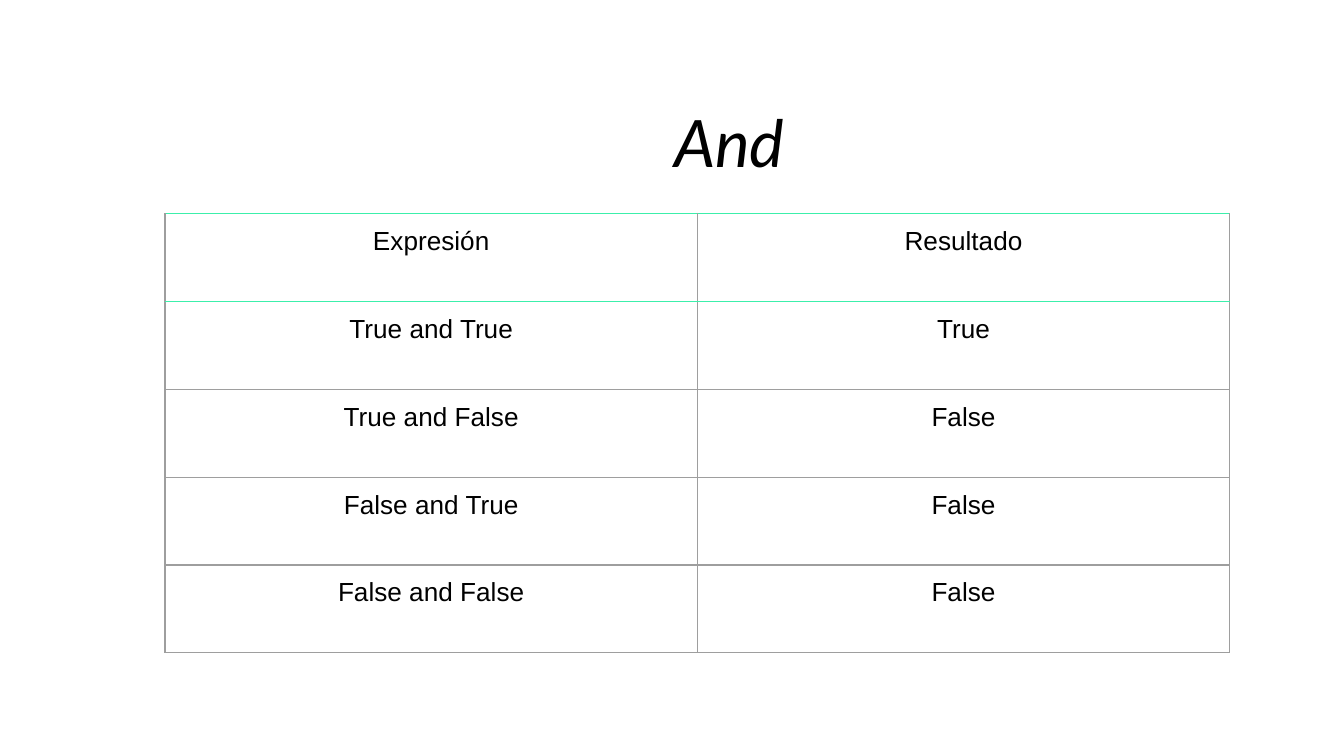
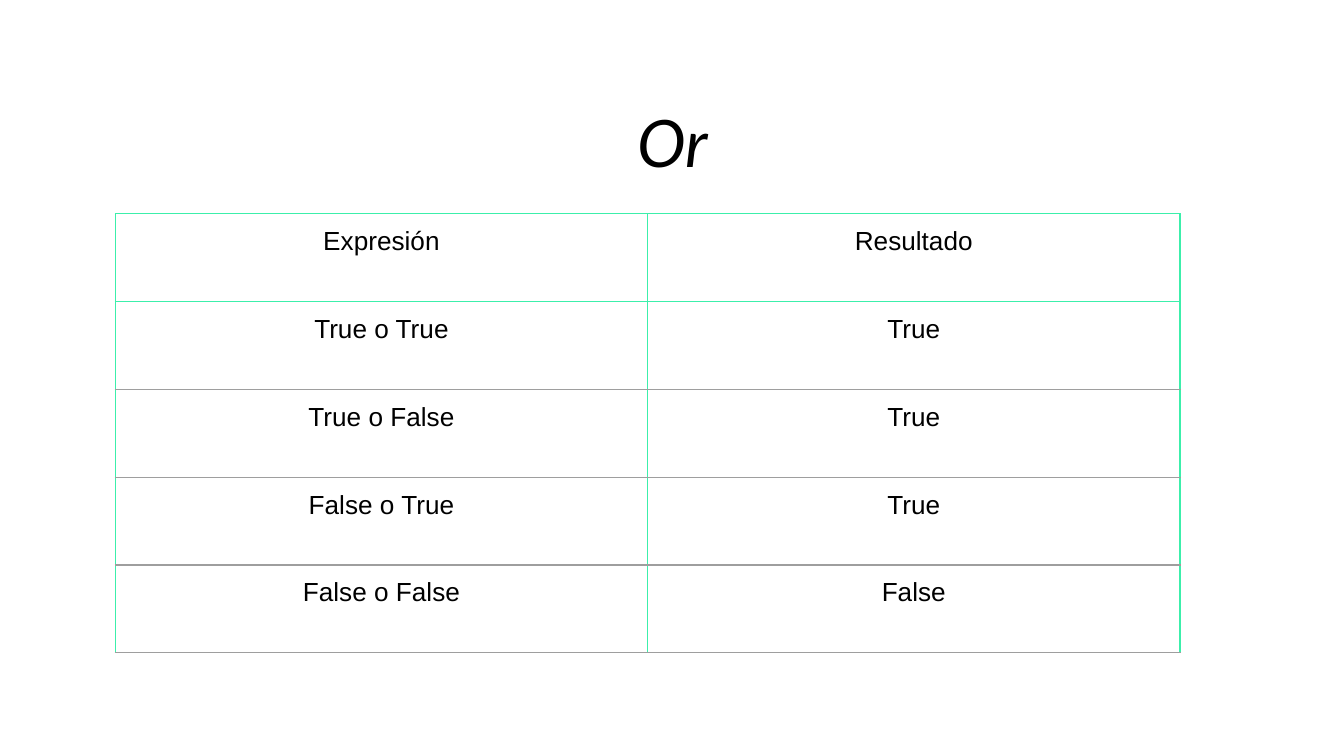
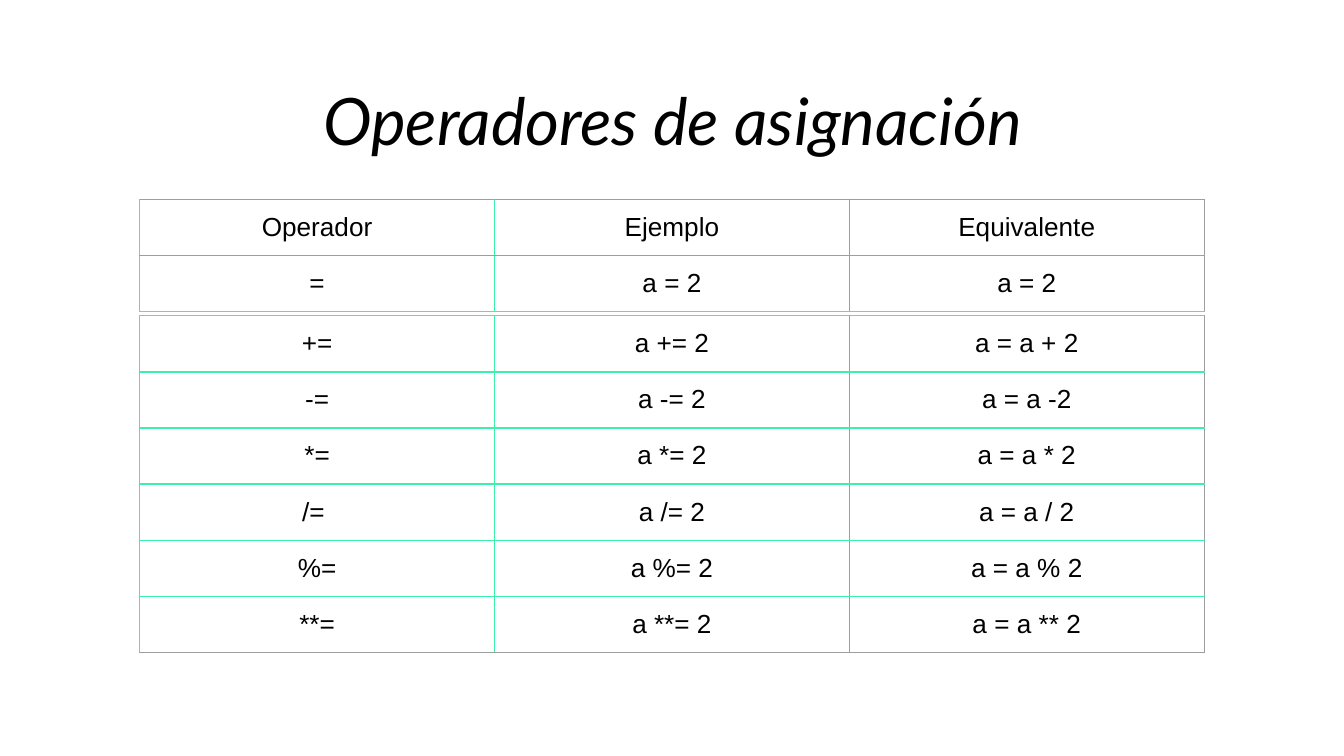
from dataclasses import dataclass

from lxml.etree import SubElement
from pptx import Presentation
from pptx.dml.color import RGBColor
from pptx.enum.text import MSO_ANCHOR, MSO_AUTO_SIZE, PP_ALIGN
from pptx.oxml.ns import qn
from pptx.slide import Slide
from pptx.table import _Cell
from pptx.util import Cm, Pt

# Shared look
BLACK = RGBColor(0x00, 0x00, 0x00)
WHITE = RGBColor(0xFF, 0xFF, 0xFF)
MINT = RGBColor(0x3C, 0xEF, 0xAB)
GREY = RGBColor(0x9E, 0x9E, 0x9E)

TITLE_FONT = {"name": "Lato", "size": Pt(35), "italic": True, "bold": False}
CELL_FONT = {"name": "Arial", "size": Pt(14), "italic": False, "bold": False}
MARGINS = {f"margin_{side}": Cm(0.25) for side in ("left", "right", "top", "bottom")}
TITLE_FRAME = {
    "word_wrap": True,
    "auto_size": MSO_AUTO_SIZE.NONE,
    "vertical_anchor": MSO_ANCHOR.MIDDLE,
    **MARGINS,
}
CELL_FORMAT = {"vertical_anchor": MSO_ANCHOR.TOP, **MARGINS}

TITLE_WIDTH, TITLE_HEIGHT = Cm(15.37), Cm(2.74)
TABLE_WIDTH = Cm(20.12)
BORDER_WIDTH = Pt(0.75)


@dataclass(frozen=True)
class Grid:
    """A table; mint_rows and mint_columns number its mint grid lines from 0."""
    left: Cm
    top: Cm
    row_height: Cm
    rows: list[tuple[str, ...]]
    mint_rows: set[int]
    mint_columns: set[int]


@dataclass(frozen=True)
class OperatorPage:
    title: str
    title_left: Cm
    title_top: Cm
    grids: list[Grid]


def truth_rows(operator: str, results: list[str]) -> list[tuple[str, ...]]:
    pairs = [(a, b) for a in ("True", "False") for b in ("True", "False")]
    body = [(f"{a} {operator} {b}", result) for (a, b), result in zip(pairs, results)]
    return [("Expresión", "Resultado"), *body]


PAGES = [
    OperatorPage("And", Cm(6.1), Cm(1.3), [
        Grid(Cm(3.12), Cm(4.04), Cm(1.66),
             truth_rows("and", ["True", "False", "False", "False"]), {0, 1}, set()),
    ]),
    OperatorPage("Or", Cm(5.03), Cm(1.3), [
        Grid(Cm(2.18), Cm(4.04), Cm(1.66),
             truth_rows("o", ["True", "True", "True", "False"]), {0, 1}, {0, 1, 2}),
    ]),
    OperatorPage("Operadores de asignación", Cm(5.03), Cm(0.89), [
        Grid(Cm(2.64), Cm(3.77), Cm(1.06), [
            ("Operador", "Ejemplo", "Equivalente"),
            ("=", "a = 2", "a = 2"),
        ], {2}, {0, 1}),
        Grid(Cm(2.64), Cm(5.97), Cm(1.06), [
            ("+=", "a += 2", "a = a + 2"),
            ("-=", "a -= 2", "a = a -2"),
            ("*=", "a *= 2", "a = a * 2"),
            ("/= ", "a /= 2", "a = a / 2"),
            ("%=", "a %= 2", "a = a % 2"),
            ("**=", "a **= 2", "a = a ** 2"),
        ], set(range(6)), {0, 1}),
    ]),
]


def apply_format(target: object, values: dict[str, object]) -> None:
    for name, value in values.items():
        setattr(target, name, value)


def write_text(frame, text: str, font: dict[str, object]) -> None:
    para = frame.paragraphs[0]
    para.alignment = PP_ALIGN.CENTER
    span = para.add_run()
    span.text = text
    apply_format(span.font, font)
    span.font.color.rgb = BLACK


def draw_title(page: Slide, content: OperatorPage) -> None:
    box = page.shapes.title
    apply_format(box, {"left": content.title_left, "top": content.title_top,
                       "width": TITLE_WIDTH, "height": TITLE_HEIGHT})
    apply_format(box.text_frame, TITLE_FRAME)
    write_text(box.text_frame, content.title, TITLE_FONT)


def draw_borders(cell: _Cell, colors: dict[str, RGBColor]) -> None:
    properties = cell._tc.get_or_add_tcPr()
    for position, (side, color) in enumerate(colors.items()):
        line = SubElement(properties, qn(f"a:ln{side}"), w=str(BORDER_WIDTH))
        fill = SubElement(line, qn("a:solidFill"))
        SubElement(fill, qn("a:srgbClr"), val=str(color))
        properties.insert(position, line)  # borders come before the fill


def draw_grid(page: Slide, grid: Grid) -> None:
    row_count, column_count = len(grid.rows), len(grid.rows[0])
    table = page.shapes.add_table(row_count, column_count, grid.left, grid.top,
                                  TABLE_WIDTH, grid.row_height * row_count).table
    apply_format(table, {"first_row": False, "horz_banding": False})
    row_colors = [MINT if i in grid.mint_rows else GREY for i in range(row_count + 1)]
    column_colors = [MINT if i in grid.mint_columns else GREY
                     for i in range(column_count + 1)]
    for r, texts in enumerate(grid.rows):
        for c, text in enumerate(texts):
            cell = table.cell(r, c)
            apply_format(cell, CELL_FORMAT)
            cell.fill.solid()
            cell.fill.fore_color.rgb = WHITE
            write_text(cell.text_frame, text, CELL_FONT)
            draw_borders(cell, {"L": column_colors[c], "R": column_colors[c + 1],
                                "T": row_colors[r], "B": row_colors[r + 1]})


def main() -> None:
    deck = Presentation()
    deck.slide_width, deck.slide_height = Cm(25.4), Cm(14.29)
    title_only = deck.slide_layouts[5]
    for content in PAGES:
        page = deck.slides.add_slide(title_only)
        draw_title(page, content)
        for grid in content.grids:
            draw_grid(page, grid)
    deck.save("out.pptx")


if __name__ == "__main__":
    main()
